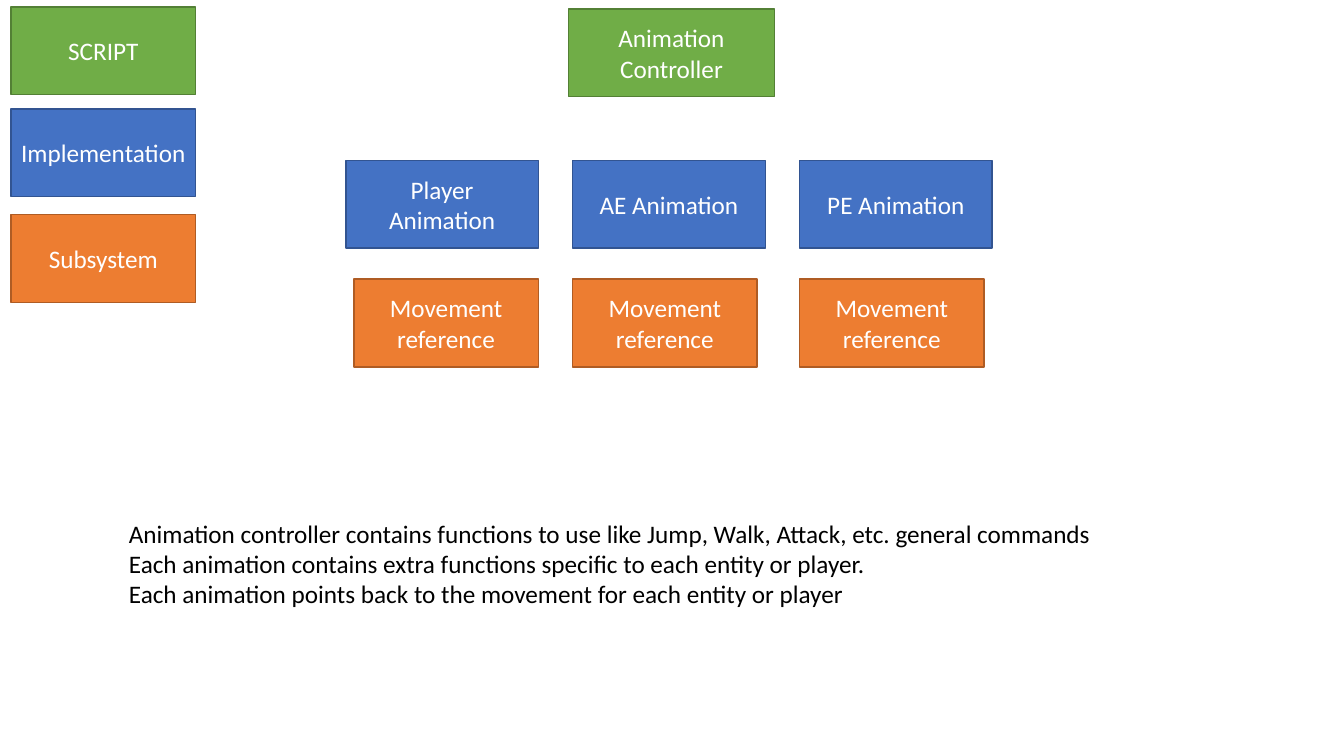
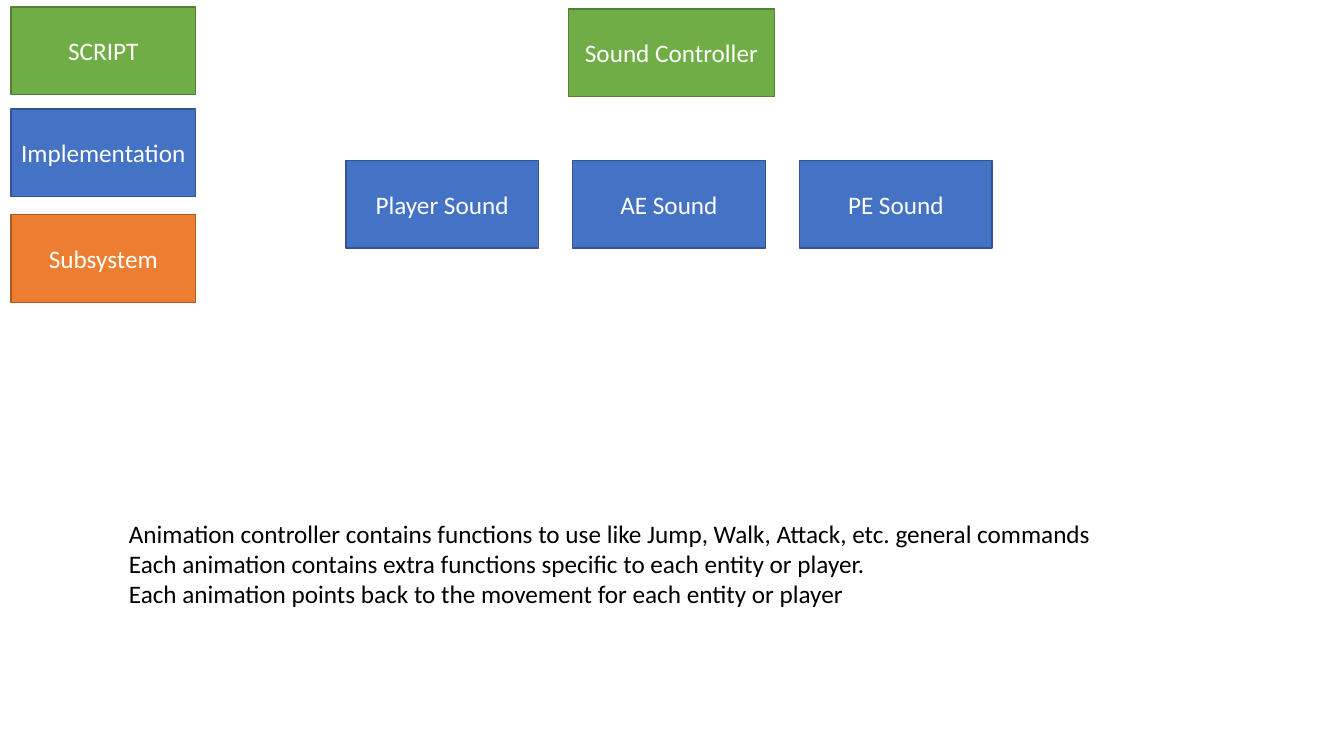
from pptx import Presentation
from pptx.dml.color import RGBColor
from pptx.enum.shapes import MSO_SHAPE as Shape
from pptx.enum.text import MSO_ANCHOR as Anchor, PP_ALIGN as Align
from pptx.util import Inches, Pt

FONT = "Calibri"
# Each role has a fill and an outline colour
SCRIPT = ("70AD47", "538035")
IMPLEMENTATION = ("4472C4", "325491")
SUBSYSTEM = ("ED7D31", "AF5C24")

BOX_HEIGHT = 0.87
NARROW = 1.83
WIDE = 1.91
COLUMN_LEFT = 3.43
COLUMN_PITCH = 2.25

LEGEND = [
    ("SCRIPT", SCRIPT, 0.07),
    ("Implementation", IMPLEMENTATION, 1.08),
    ("Subsystem", SUBSYSTEM, 2.13),
]
ENTITIES = ["Player", "AE", "PE"]
EXPLANATION = [
    "Animation controller contains functions to use like Jump, Walk, Attack, etc. general commands",
    "Each animation contains extra functions specific to each entity or player.",
    "Each animation points back to the movement for each entity or player",
]


def color(hex_code):
    """Turn a hex string into a colour."""
    return RGBColor.from_string(hex_code)


def style_text(paragraph, hex_code):
    """Apply the shared font in the given colour."""
    paragraph.font.name = FONT
    paragraph.font.size = Pt(18)
    paragraph.font.color.rgb = color(hex_code)


def add_box(slide, label, role, left, top, width=NARROW):
    """Add a labelled box in the colours of its role."""
    fill, outline = role
    box = slide.shapes.add_shape(
        Shape.RECTANGLE, Inches(left), Inches(top), Inches(width), Inches(BOX_HEIGHT))
    box.shadow.inherit = False
    box.fill.solid()
    box.fill.fore_color.rgb = color(fill)
    box.line.color.rgb = color(outline)
    box.line.width = Pt(1)
    frame = box.text_frame
    frame.word_wrap = True
    frame.vertical_anchor = Anchor.MIDDLE
    frame.text = label
    frame.paragraphs[0].alignment = Align.CENTER
    style_text(frame.paragraphs[0], "FFFFFF")


def add_legend(slide):
    """Add the key to the box colours at the left edge."""
    for label, role, top in LEGEND:
        add_box(slide, label, role, 0.11, top)


def add_explanation(slide):
    """Add the explanatory lines below the diagram."""
    explanation = slide.shapes.add_textbox(
        Inches(1.18), Inches(5.09), Inches(10.01), Inches(1.31))
    frame = explanation.text_frame
    frame.word_wrap = True
    frame.text = "\n".join(EXPLANATION)
    for paragraph in frame.paragraphs:
        style_text(paragraph, "000000")


def add_system_slide(deck, system, reference=None):
    """Add a controller, its implementations and any subsystem references."""
    slide = deck.slides.add_slide(deck.slide_layouts[6])
    add_legend(slide)
    add_box(slide, f"{system} Controller", SCRIPT, 5.64, 0.09, 2.04)
    for column, entity in enumerate(ENTITIES):
        left = COLUMN_LEFT + column * COLUMN_PITCH
        add_box(slide, f"{entity} {system}", IMPLEMENTATION, left, 1.59, WIDE)
        if reference:
            # The first reference lines up with the right edge of its column
            indent = WIDE - NARROW if column == 0 else 0
            add_box(slide, reference, SUBSYSTEM, left + indent, 2.77)
    add_explanation(slide)


def main():
    """Build and save the deck."""
    deck = Presentation()
    deck.slide_width = Inches(13.33)
    deck.slide_height = Inches(7.5)
    add_system_slide(deck, "Animation", "Movement reference")
    add_system_slide(deck, "Sound")
    deck.save("out.pptx")


main()
